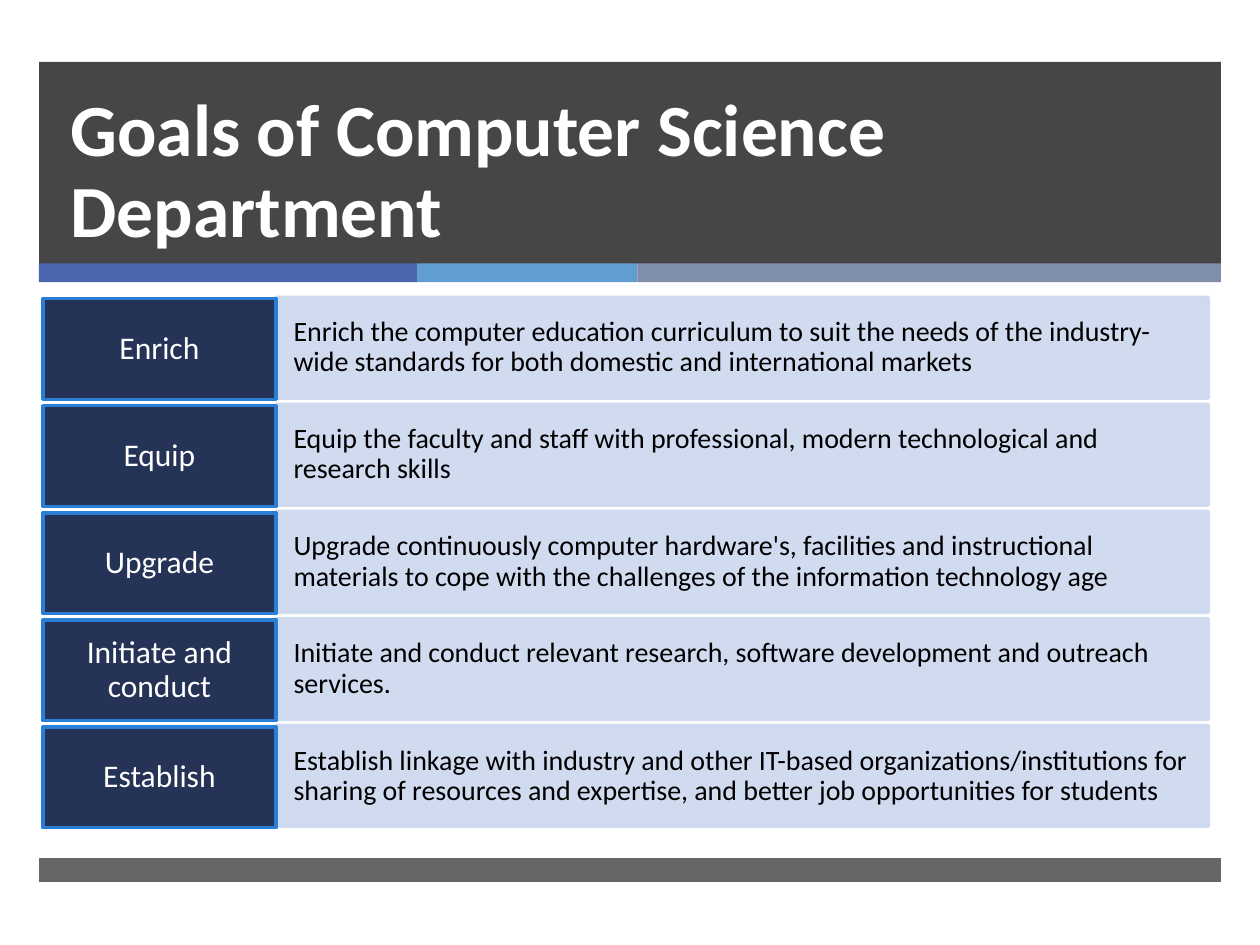
from lxml import etree
from pptx import Presentation
from pptx.dml.color import RGBColor
from pptx.enum.shapes import MSO_SHAPE
from pptx.enum.text import MSO_ANCHOR, MSO_AUTO_SIZE, PP_ALIGN
from pptx.oxml.ns import qn
from pptx.util import Inches, Pt

RECTANGLE = MSO_SHAPE.RECTANGLE
MIDDLE, BOTTOM = MSO_ANCHOR.MIDDLE, MSO_ANCHOR.BOTTOM
LEFT, CENTER = PP_ALIGN.LEFT, PP_ALIGN.CENTER
NO_AUTOFIT = MSO_AUTO_SIZE.NONE

COLORS = {
    "band": "262626",
    "blue": "4A66AC",
    "sky": "629DD1",
    "slate": "7F8FA9",
    "goal": "253356",
    "goal_edge": "297FD5",
    "detail": "CDD8EF",
    "white": "FFFFFF",
    "black": "000000",
}
GOALS = [
    ("Enrich", "Enrich the computer education curriculum to suit the needs of the "
     "industry-wide standards for both domestic and international markets"),
    ("Equip", "Equip the faculty and staff with professional, modern technological "
     "and research skills"),
    ("Upgrade", "Upgrade continuously computer hardware's, facilities and instructional "
     "materials to cope with the challenges of the information technology age"),
    ("Initiate and conduct", "Initiate and conduct relevant research, software "
     "development and outreach services."),
    ("Establish", "Establish linkage with industry and other IT-based "
     "organizations/institutions for sharing of resources and expertise, "
     "and better job opportunities for students"),
]
BAND_LEFT, BAND_WIDTH = 0.31, 9.38
STRIPES = [("blue", 3), ("sky", 1.75), ("slate", 4.63)]
GOAL_LEFT, GOAL_WIDTH, DETAIL_WIDTH = 0.34, 1.85, 7.4
ROW_TOP, ROW_HEIGHT, ROW_PITCH = 2.36, 0.8, 0.85


def rgb(name):
    """Return the named colour."""
    return RGBColor.from_string(COLORS[name])


def paint(fill, color, opacity):
    """Make a fill solid with an opacity in percent."""
    fill.solid()
    fill.fore_color.rgb = rgb(color)
    if opacity < 100:
        for tint in fill._xPr.iter(qn("a:srgbClr")):
            etree.SubElement(tint, qn("a:alpha"), val=str(opacity * 1000))


def add_box(slide, left, top, width, height, color, opacity=100, edge=None):
    """Add a filled rectangle with an optional border."""
    box = slide.shapes.add_shape(
        RECTANGLE, Inches(left), Inches(top), Inches(width), Inches(height))
    box.shadow.inherit = False
    paint(box.fill, color, opacity)
    if edge:
        box.line.width = Pt(2)
        paint(box.line.fill, edge, opacity)
    else:
        box.line.fill.background()
    return box


def write(shape, text, size, color, align=LEFT, anchor=MIDDLE, spacing=0.9,
          insets=(0.1, 0.05), bold=False):
    """Put formatted text into a shape."""
    frame = shape.text_frame
    frame.word_wrap = True
    frame.auto_size = NO_AUTOFIT
    frame.vertical_anchor = anchor
    frame.margin_left = frame.margin_right = Inches(insets[0])
    frame.margin_top = frame.margin_bottom = Inches(insets[1])
    paragraph = frame.paragraphs[0]
    paragraph.alignment = align
    paragraph.line_spacing = spacing
    run = paragraph.add_run()
    run.text = text
    run.font.name = "Calibri"
    run.font.size = Pt(size)
    run.font.bold = bold
    run.font.color.rgb = rgb(color)


def add_bands(slide):
    """Add the title band, its stripes and the footer band."""
    add_box(slide, BAND_LEFT, 0.49, BAND_WIDTH, 1.61, "band", opacity=85)
    left = BAND_LEFT
    for color, width in STRIPES:
        add_box(slide, left, 2.09, width, 0.15, color)
        left += width
    add_box(slide, BAND_LEFT, 6.81, BAND_WIDTH, 0.19, "band", opacity=70)


def set_title(slide, text):
    """Place the title in front of its band."""
    title = slide.shapes.title
    slide.shapes._spTree.append(title._element)
    title.left, title.top = Inches(0.46), Inches(0.62)
    title.width, title.height = Inches(7.71), Inches(1.43)
    write(title, text, 42, "white", anchor=BOTTOM, spacing=Pt(46), bold=True)


def add_goal(slide, top, goal, description):
    """Add one goal with its description."""
    detail = add_box(slide, GOAL_LEFT + GOAL_WIDTH, top, DETAIL_WIDTH, ROW_HEIGHT,
                     "detail", opacity=90, edge="detail")
    write(detail, description, 16, "black", insets=(0.14, 0.1))
    label = add_box(slide, GOAL_LEFT, top + 0.01, GOAL_WIDTH, ROW_HEIGHT,
                    "goal", edge="goal_edge")
    write(label, goal, 18, "white", align=CENTER, insets=(0.1, 0.08))


def main():
    """Build the slide and save it."""
    deck = Presentation()
    deck.slide_width, deck.slide_height = Inches(10), Inches(7.5)
    slide = deck.slides.add_slide(deck.slide_layouts[5])
    add_bands(slide)
    set_title(slide, "Goals of Computer Science Department")
    for row, (goal, description) in enumerate(GOALS):
        add_goal(slide, ROW_TOP + row * ROW_PITCH, goal, description)
    deck.save("out.pptx")


if __name__ == "__main__":
    main()
